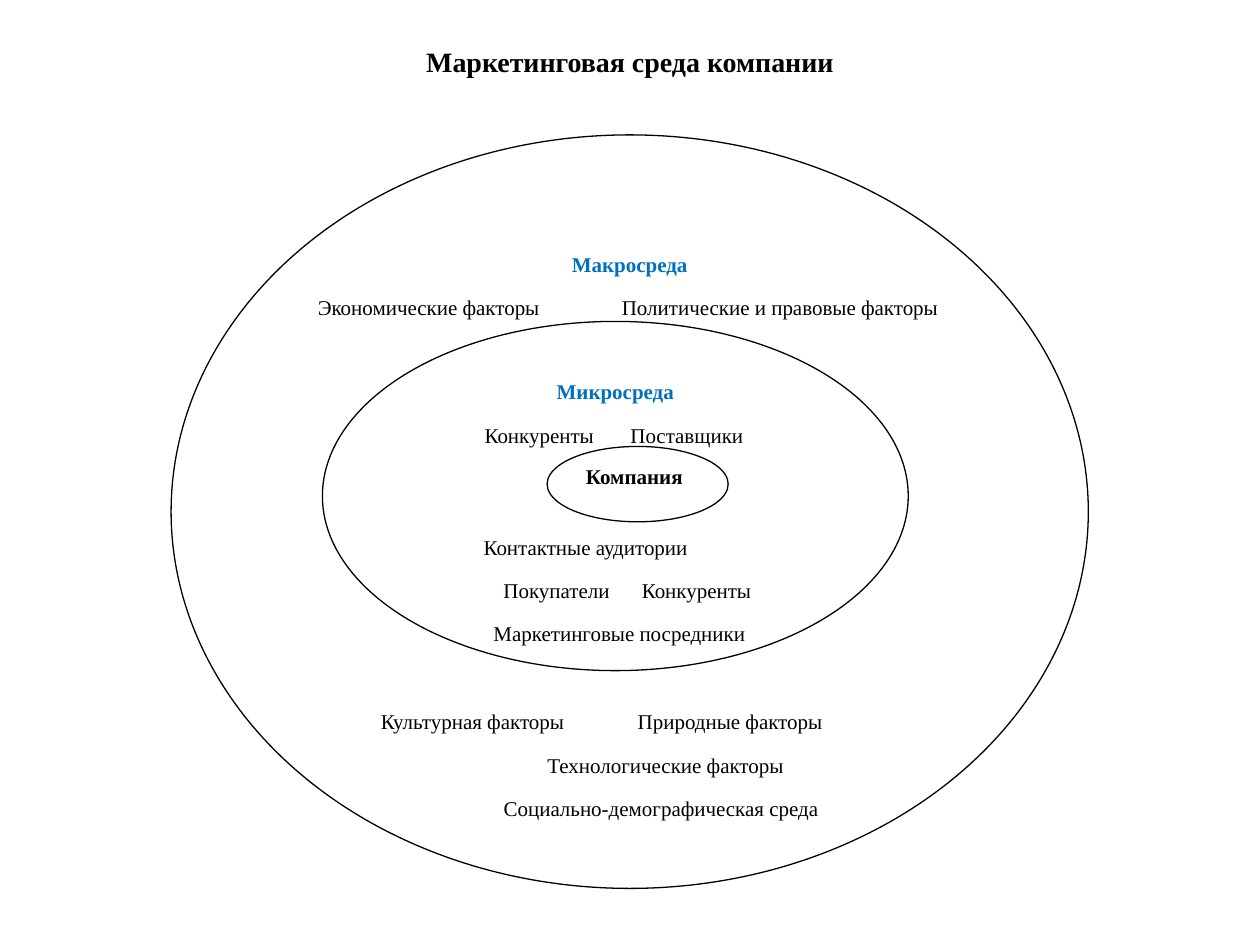
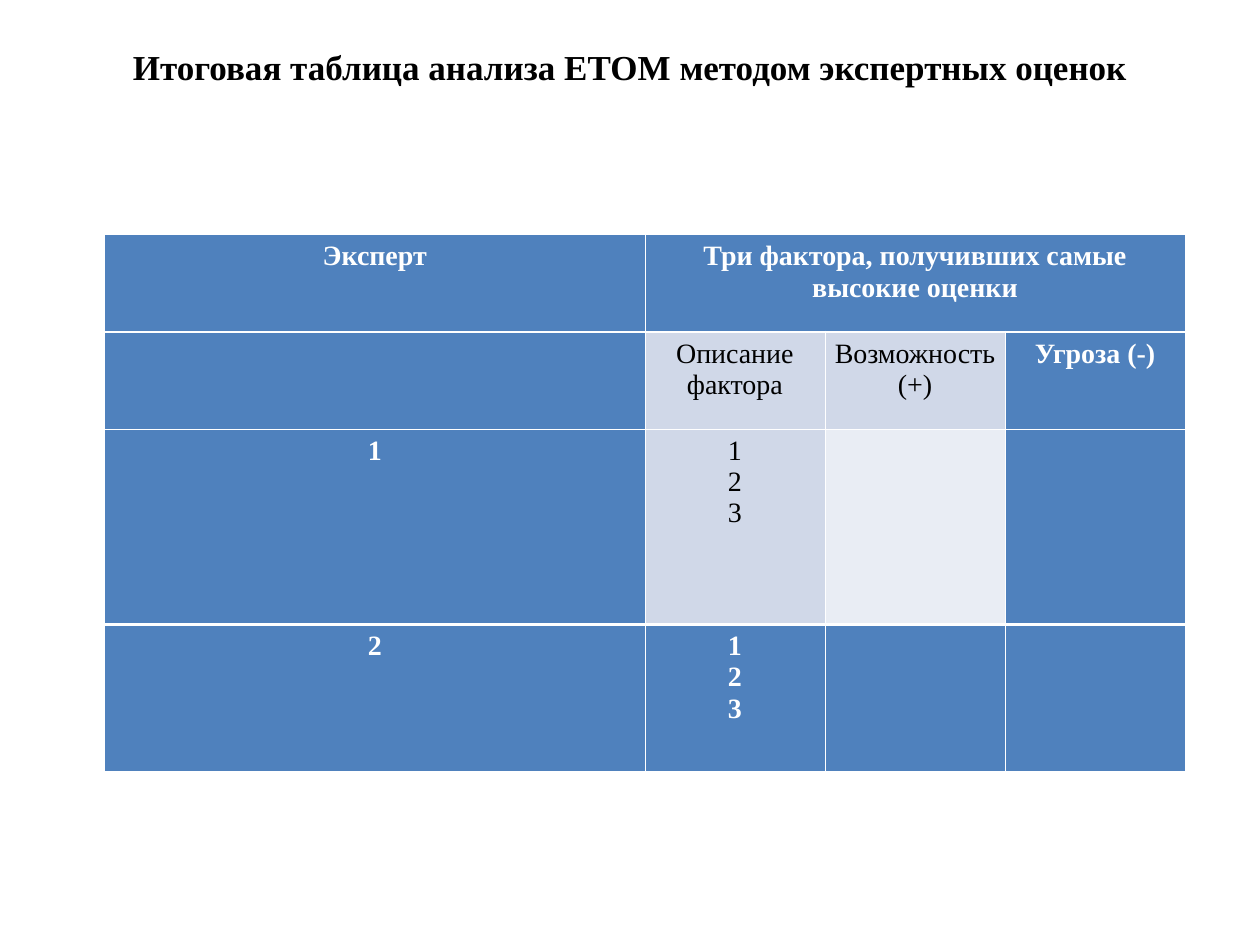
"""Builds two slides: the marketing environment of a company and the ETOM expert table."""
from dataclasses import dataclass

from lxml.etree import SubElement
from pptx import Presentation
from pptx.dml.color import RGBColor
from pptx.enum.shapes import MSO_SHAPE as Shape
from pptx.enum.text import MSO_ANCHOR as Anchor, MSO_AUTO_SIZE as AutoSize, PP_ALIGN as Align
from pptx.oxml.ns import qn
from pptx.util import Cm, Pt

BLACK = RGBColor(0x00, 0x00, 0x00)
WHITE = RGBColor(0xFF, 0xFF, 0xFF)
ACCENT = RGBColor(0x00, 0x70, 0xC0)
HEADER = RGBColor(0x4F, 0x81, 0xBD)
BAND = RGBColor(0xD0, 0xD8, 0xE8)
PALE = RGBColor(0xE9, 0xED, 0xF4)


@dataclass
class Line:
    text: str
    margin: float = 0
    stops: tuple = ()
    before: float = 0
    align: Align = Align.LEFT
    color: RGBColor = BLACK
    bold: bool = False


class Deck:
    font = "Times New Roman"
    line_gap = Pt(10.4)
    thin, thick = Pt(0.45), Pt(1.47)

    def __init__(self):
        self.presentation = Presentation()
        self.presentation.slide_width = Cm(25.4)
        self.presentation.slide_height = Cm(19.05)
        self.slide = None

    def style(self, paragraph, size, color=BLACK, bold=False, align=Align.CENTER):
        paragraph.alignment = align
        for run in paragraph.runs:
            run.font.name = self.font
            run.font.size = Pt(size)
            run.font.bold = bold
            run.font.color.rgb = color

    def titled_slide(self, text, size, height):
        self.slide = self.presentation.slides.add_slide(self.presentation.slide_layouts[5])
        title = self.slide.shapes.title
        title.left, title.top, title.width, title.height = Cm(1.27), Cm(0.76), Cm(22.86), Cm(height)
        frame = title.text_frame
        frame.text = text
        frame.auto_size = AutoSize.NONE
        frame.vertical_anchor = Anchor.MIDDLE
        self.style(frame.paragraphs[0], size, bold=True)

    def ring(self, left, top, width, height, lines):
        ellipse = self.slide.shapes.add_shape(
            Shape.OVAL, Cm(left), Cm(top), Cm(width), Cm(height))
        ellipse.shadow.inherit = False
        ellipse.fill.solid()
        ellipse.fill.fore_color.rgb = WHITE
        ellipse.line.color.rgb = BLACK
        ellipse.line.width = Pt(0.75)
        frame = ellipse.text_frame
        frame.word_wrap = True
        frame.vertical_anchor = Anchor.TOP
        frame.text = "\n".join(line.text for line in lines)
        for paragraph, line in zip(frame.paragraphs, lines):
            self.style(paragraph, 12, line.color, line.bold, line.align)
            paragraph.space_after = self.line_gap
            if line.before:
                paragraph.space_before = Pt(line.before)
            self.indent(paragraph, line)

    def indent(self, paragraph, line):
        properties = paragraph._p.get_or_add_pPr()
        properties.set("marL", str(Cm(line.margin)))
        if line.stops:
            tabs = SubElement(properties, qn("a:tabLst"))
            for stop in line.stops:
                SubElement(tabs, qn("a:tab"), pos=str(Cm(stop)), algn="l")

    def borders(self, cell, top, bottom):
        properties = cell._tc.get_or_add_tcPr()
        widths = {"lnL": self.thin, "lnR": self.thin, "lnT": top, "lnB": bottom}
        for side, width in widths.items():
            edge = SubElement(properties, qn(f"a:{side}"), w=str(width))
            fill = SubElement(edge, qn("a:solidFill"))
            SubElement(fill, qn("a:srgbClr"), val=str(WHITE))

    def table(self, left, top, widths, heights, texts, fills, heavy_edges):
        grid = self.slide.shapes.add_table(
            len(heights), len(widths), Cm(left), Cm(top), Cm(sum(widths)), Cm(sum(heights))).table
        grid.horz_banding = grid.first_row = False
        for column, width in zip(grid.columns, widths):
            column.width = Cm(width)
        for index, height in enumerate(heights):
            grid.rows[index].height = Cm(height)
            upper, lower = (self.thick if edge in heavy_edges else self.thin
                            for edge in (index, index + 1))
            for cell, text, fill in zip(grid.rows[index].cells, texts[index], fills[index]):
                self.borders(cell, upper, lower)
                self.fill_cell(cell, text, fill)
        return grid

    def fill_cell(self, cell, text, fill):
        cell.fill.solid()
        cell.fill.fore_color.rgb = fill
        cell.margin_left = cell.margin_right = Cm(0.17)
        cell.text_frame.text = text
        on_header = fill == HEADER
        for paragraph in cell.text_frame.paragraphs:
            self.style(paragraph, 16, WHITE if on_header else BLACK, on_header)


def heading(text):
    return Line(text, align=Align.CENTER, color=ACCENT, bold=True)


def environment_slide(deck):
    deck.titled_slide("Маркетинговая среда компании", 16, 0.97)
    deck.ring(3.45, 2.72, 18.49, 15.19, [
        heading("Макросреда"),
        Line("Экономические факторы\tПолитические и правовые факторы", stops=(6.13,)),
        Line("\tКультурная факторы\tПриродные факторы", stops=(1.27, 6.45), before=211.8),
        Line("Технологические факторы", margin=1.45, align=Align.CENTER),
        Line("Социально-демографическая среда", margin=1.27, align=Align.CENTER),
    ])
    deck.ring(6.5, 6.48, 11.81, 7.04, [
        heading("Микросреда"),
        Line("\tКонкуренты\tПоставщики", stops=(1.29, 4.23)),
        Line("Контактные аудитории", margin=1.27, before=39.2),
        Line("\tПокупатели\tКонкуренты", stops=(1.67, 4.46)),
        Line("Маркетинговые посредники", margin=1.47),
    ])
    deck.ring(11.03, 9, 3.65, 1.52, [Line("Компания", bold=True)])


def experts_slide(deck):
    deck.titled_slide("Итоговая таблица анализа ЕТОМ методом экспертных оценок", 20, 1.17)
    factors = "1\n2\n3"
    texts = [
        ["Эксперт", "Три фактора, получивших самые высокие оценки", "", ""],
        ["", "Описание фактора", "Возможность (+)", "Угроза (-)"],
        ["1", factors, "", ""],
        ["2", factors, "", ""],
    ]
    fills = [
        [HEADER] * 4,
        [HEADER, BAND, BAND, HEADER],
        [HEADER, BAND, PALE, HEADER],
        [HEADER] * 4,
    ]
    ratings = deck.table(2.11, 4.73, [10.89] + [3.63] * 3, [1.96, 1.96, 3.94, 2.95],
                         texts, fills, heavy_edges={1, 3})
    ratings.cell(0, 1).merge(ratings.cell(0, 3))


def main():
    deck = Deck()
    environment_slide(deck)
    experts_slide(deck)
    deck.presentation.save("out.pptx")


if __name__ == "__main__":
    main()
